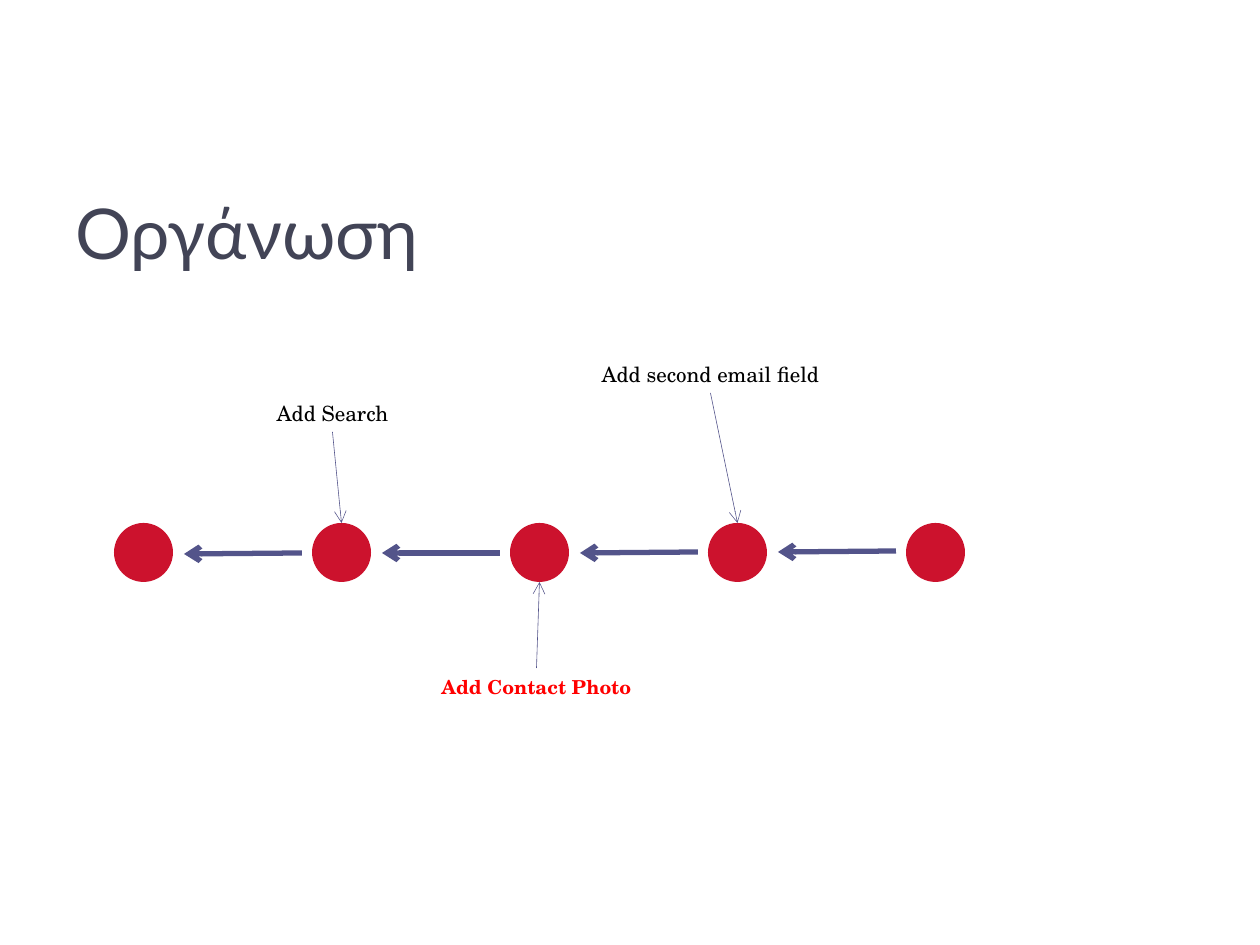
import pptx
import pptx.dml.color
import pptx.enum.shapes
import pptx.enum.text
import pptx.oxml.ns
import pptx.util
from lxml import etree

EMU_PER_PX = 914400 / 126


def px(length):
    return pptx.util.Emu(round(length * EMU_PER_PX))


def color(hex_string):
    return pptx.dml.color.RGBColor.from_string(hex_string)


class CommitDiagram:
    """Holds the style and the slide being drawn."""

    title_font = "Lato"
    label_font = "TeX Gyre Schola"
    title_color = "424456"
    commit_color = "CC122D"
    arrow_color = "53548A"

    def __init__(self, presentation):
        self.slide = presentation.slides.add_slide(presentation.slide_layouts[6])

    def text(self, words, left, top, width, height, font, size, ink,
             bold=False, align=pptx.enum.text.PP_ALIGN.LEFT):
        box = self.slide.shapes.add_textbox(px(left), px(top), px(width), px(height))
        frame = box.text_frame
        frame.word_wrap = True
        frame.vertical_anchor = pptx.enum.text.MSO_ANCHOR.MIDDLE
        frame.text = words
        paragraph = frame.paragraphs[0]
        paragraph.alignment = align
        style = paragraph.runs[0].font
        style.name = font
        style.size = pptx.util.Pt(size)
        style.bold = bold
        style.color.rgb = color(ink)

    def title(self, words, left, top, width, height):
        self.text(words, left, top, width, height, self.title_font, 40, self.title_color)

    def label(self, words, left, top, width, height, size, ink, bold):
        self.text(words, left, top, width, height, self.label_font, size, ink, bold,
                  pptx.enum.text.PP_ALIGN.CENTER)

    def commit(self, left, top, diameter):
        circle = self.slide.shapes.add_shape(
            pptx.enum.shapes.MSO_SHAPE.OVAL, px(left), px(top), px(diameter), px(diameter))
        circle.shadow.inherit = False
        circle.fill.solid()
        circle.fill.fore_color.rgb = color(self.commit_color)
        circle.line.fill.background()

    def arrow(self, start_x, start_y, end_x, end_y, weight):
        connector = self.slide.shapes.add_connector(
            pptx.enum.shapes.MSO_CONNECTOR.STRAIGHT,
            px(start_x), px(start_y), px(end_x), px(end_y))
        connector.line.color.rgb = color(self.arrow_color)
        connector.line.width = pptx.util.Pt(weight)
        outline = connector.line._get_or_add_ln()
        etree.SubElement(outline, pptx.oxml.ns.qn("a:tailEnd"), type="arrow")
        etree.SubElement(connector._element.spPr, pptx.oxml.ns.qn("a:effectLst"))


def main():
    presentation = pptx.Presentation()
    presentation.slide_width = px(1260)
    presentation.slide_height = px(945)
    diagram = CommitDiagram(presentation)

    diagram.title("Οργάνωση", 63, 158, 1134, 147)

    first_left, pitch, commit_top, diameter = 114, 198, 523, 59
    commit_lefts = [first_left + pitch * i for i in range(5)]
    for left in commit_lefts:
        diagram.commit(left, commit_top, diameter)

    # Each commit points back to its parent; heights are at start and end.
    parent_heights = [(553, 554), (553, 553), (552, 553), (551, 552)]
    for parent, child, (start_y, end_y) in zip(
            commit_lefts, commit_lefts[1:], parent_heights):
        diagram.arrow(child - 10, start_y, parent + diameter + 11, end_y, 3)

    # Commit index, words, left, top, width, height, size, colour, bold
    changes = [
        (1, "Add Search", 263, 394, 139, 38, 12, "000000", False),
        (2, "Add Contact Photo", 353, 668, 367, 37, 11, "FF0000", True),
        (3, "Add second email field", 532, 355, 357, 38, 12, "000000", False),
    ]
    for index, words, left, top, width, height, size, ink, bold in changes:
        diagram.label(words, left, top, width, height, size, ink, bold)
        if top < commit_top:
            start_y, end_y = top + height, commit_top
        else:
            start_y, end_y = top, commit_top + diameter
        diagram.arrow(left + width / 2, start_y,
                      commit_lefts[index] + diameter / 2, end_y, 0.35)

    presentation.save("out.pptx")


if __name__ == "__main__":
    main()
